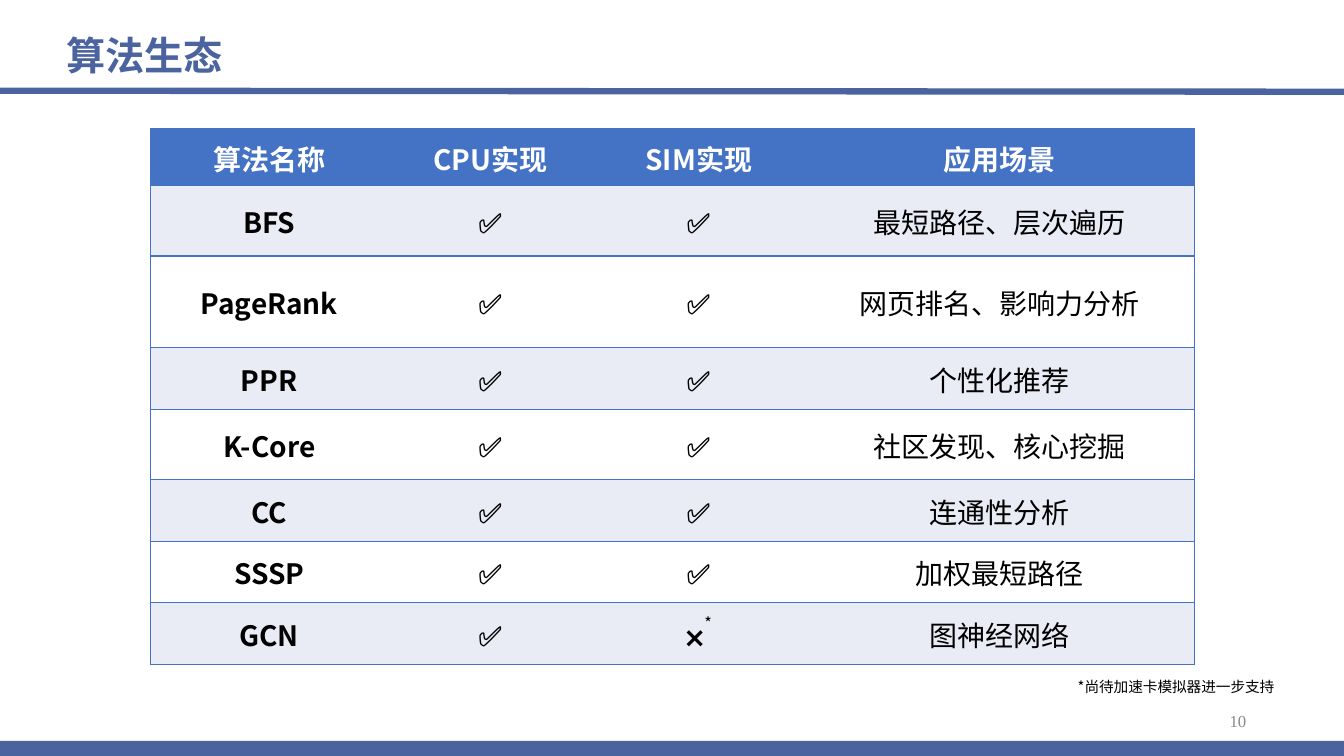
"""Build the algorithm ecosystem slide."""
import pptx
import pptx.util
import pptx.dml.color
import pptx.enum.text
import pptx.enum.shapes
import pptx.oxml
import pptx.oxml.ns
import lxml.etree

Inches, Pt = pptx.util.Inches, pptx.util.Pt
RGBColor = pptx.dml.color.RGBColor
ALIGN = pptx.enum.text.PP_ALIGN
MIDDLE = pptx.enum.text.MSO_ANCHOR.MIDDLE
qn = pptx.oxml.ns.qn

TITLE = "算法生态"
NOTE = "*尚待加速卡模拟器进一步支持"
PAGE = "10"
HEAD = ("算法名称", "CPU实现", "SIM实现", "应用场景")
ROWS = [
    ("BFS", "✅", "✅", "最短路径、层次遍历"),
    ("PageRank", "✅", "✅", "网页排名、影响力分析"),
    ("PPR", "✅", "✅", "个性化推荐"),
    ("K-Core", "✅", "✅", "社区发现、核心挖掘"),
    ("CC", "✅", "✅", "连通性分析"),
    ("SSSP", "✅", "✅", "加权最短路径"),
    ("GCN", "✅", "❌*", "图神经网络"),
]
WIDTHS = (2.36, 2.03, 2.1, 3.87)
HEIGHTS = (0.56, 0.7, 0.91, 0.61, 0.7, 0.61, 0.61, 0.61)

SANS, SERIF = "Noto Sans CJK SC", "Times New Roman"
NAVY = RGBColor(0x4B, 0x64, 0x9F)
BLUE = RGBColor(0x44, 0x72, 0xC4)
PALE = RGBColor(0xE9, 0xEB, 0xF5)
WHITE = RGBColor(0xFF, 0xFF, 0xFF)
BLACK = RGBColor(0, 0, 0)
GRAY = RGBColor(0x89, 0x89, 0x89)


def write(frame, text, size=20, color=BLACK, bold=False, face=SANS,
          align=ALIGN.CENTER, raised=""):
    """Write one formatted paragraph, with an optional raised ending."""
    para = frame.paragraphs[0]
    para.alignment = align
    for part, base in ((text, 0), (raised, 68000)):
        if not part:
            continue
        run = para.add_run()
        run.text = part
        font = run.font
        font.size, font.bold, font.name = Pt(size), bold, face
        font.color.rgb = color
        props = run._r.get_or_add_rPr()
        lxml.etree.SubElement(props, qn("a:ea")).set("typeface", face)
        if base:
            props.set("baseline", str(base))
    return para


def place(shape, left, top, width, height):
    """Set the box of a shape in inches."""
    shape.left, shape.top = Inches(left), Inches(top)
    shape.width, shape.height = Inches(width), Inches(height)


def edge(cell, side, color):
    """Draw one cell border, or clear it when no color is given."""
    line = lxml.etree.SubElement(cell._tc.get_or_add_tcPr(), qn("a:ln" + side))
    line.set("w", str(Pt(1)))
    if color is None:
        lxml.etree.SubElement(line, qn("a:noFill"))
    else:
        fill = lxml.etree.SubElement(line, qn("a:solidFill"))
        lxml.etree.SubElement(fill, qn("a:srgbClr")).set("val", str(color))


def grid(slide):
    """Add the table of algorithms."""
    data = [HEAD] + ROWS
    last = len(HEAD) - 1
    frame = slide.shapes.add_table(
        len(data), len(HEAD), Inches(1.49), Inches(1.28),
        Inches(sum(WIDTHS)), Inches(sum(HEIGHTS)))
    table = frame.table
    table.first_row = table.horz_banding = False
    for col, width in zip(table.columns, WIDTHS):
        col.width = Inches(width)
    for r, row in enumerate(data):
        table.rows[r].height = Inches(HEIGHTS[r])
        for c, text in enumerate(row):
            cell = table.cell(r, c)
            cell.vertical_anchor = MIDDLE
            cell.margin_left = cell.margin_right = Inches(0.01)
            cell.margin_top, cell.margin_bottom = Inches(0.01), 0
            edge(cell, "L", BLUE if c == 0 else None)
            edge(cell, "R", BLUE if c == last else None)
            edge(cell, "T", BLUE)
            edge(cell, "B", BLUE)
            cell.fill.solid()
            cell.fill.fore_color.rgb = (
                BLUE if r == 0 else PALE if r % 2 else WHITE)
            plain = text.rstrip("*")
            write(cell.text_frame, plain, raised=text[len(plain):],
                  color=BLACK if r else WHITE, bold=r == 0 or c == 0)


def label(slide, box, text, **form):
    """Add a text box."""
    shape = slide.shapes.add_textbox(*map(Inches, box))
    shape.text_frame.word_wrap = True
    write(shape.text_frame, text, align=ALIGN.RIGHT, **form)
    return shape


def main():
    """Compose the slide and save it."""
    deck = pptx.Presentation()
    deck.slide_width, deck.slide_height = Inches(13.33), Inches(7.5)
    slide = deck.slides.add_slide(deck.slide_layouts[5])

    title = slide.shapes.title
    place(title, 0.56, 0.07, 11.91, 0.72)
    title.text_frame.vertical_anchor = MIDDLE
    para = write(title.text_frame, TITLE, size=28, color=NAVY, bold=True,
                 align=ALIGN.LEFT)
    para.line_spacing = 1.5

    rule = slide.shapes.add_connector(
        pptx.enum.shapes.MSO_CONNECTOR.STRAIGHT,
        0, Inches(0.9), Inches(13.33), Inches(0.91))
    rule.line.color.rgb, rule.line.width = NAVY, Pt(4.5)
    lxml.etree.SubElement(rule._element.spPr, qn("a:effectLst"))

    foot = slide.shapes.add_shape(
        pptx.enum.shapes.MSO_SHAPE.RECTANGLE,
        0, Inches(7.35), Inches(13.33), Inches(0.15))
    foot.shadow.inherit = False
    foot.fill.solid()
    foot.fill.fore_color.rgb = NAVY
    foot.line.fill.background()

    page = label(slide, (10.7, 6.95, 1.76, 0.4), PAGE, size=12, color=GRAY,
                 face=SERIF)
    page.text_frame.vertical_anchor = MIDDLE
    grid(slide)
    label(slide, (9.8, 6.68, 2.94, 0.29), NOTE, size=10.5)
    deck.save("out.pptx")


if __name__ == "__main__":
    main()
